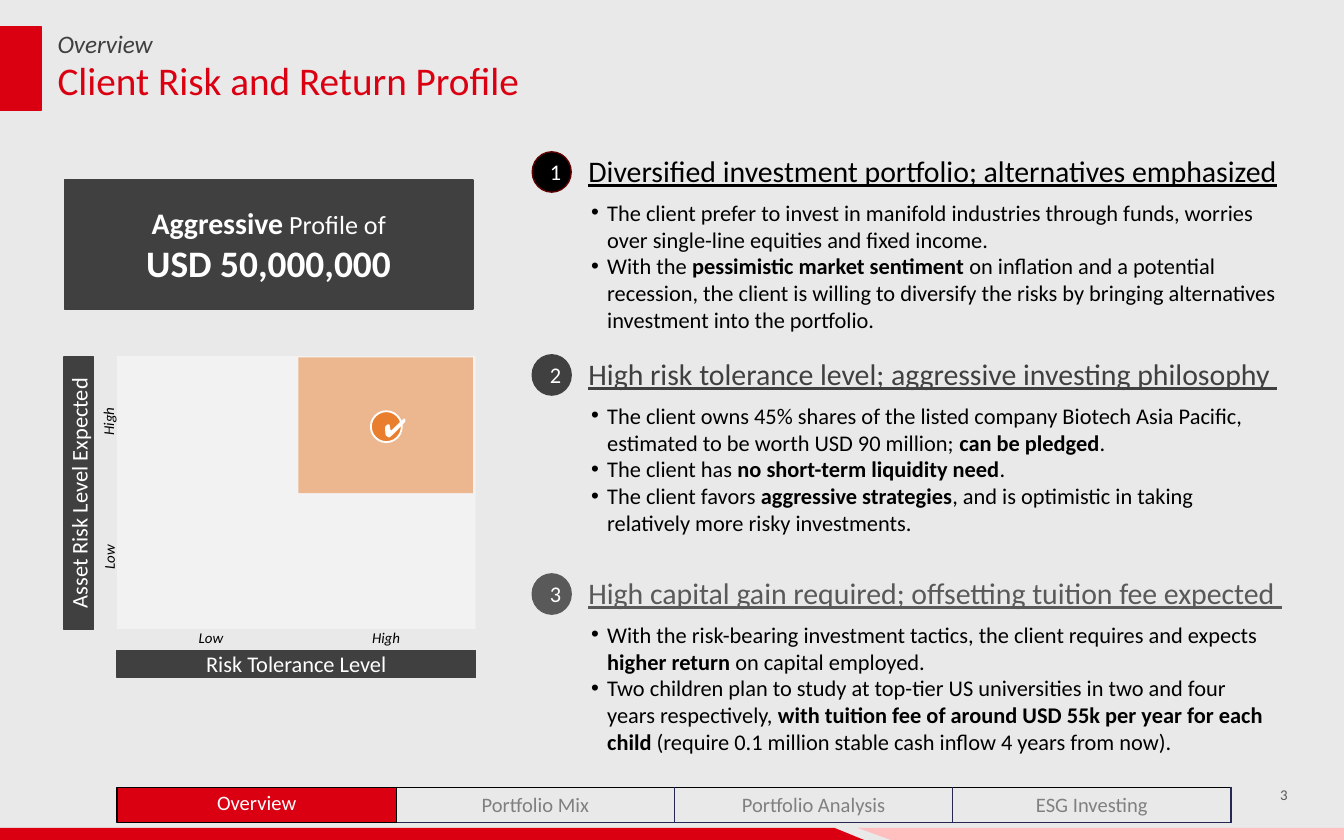
from lxml.etree import SubElement
from pptx import Presentation
from pptx.dml.color import RGBColor
from pptx.enum.shapes import MSO_SHAPE
from pptx.enum.text import MSO_ANCHOR, PP_ALIGN
from pptx.oxml.ns import qn
from pptx.util import Inches, Pt

tint = RGBColor.from_string
RED, DARK, GREY, BLACK, WHITE = "DB0011", "404040", "595959", "000000", "FFFFFF"
RECT, OVAL = MSO_SHAPE.RECTANGLE, MSO_SHAPE.OVAL
LEFT, MID, RIGHT = PP_ALIGN.LEFT, PP_ALIGN.CENTER, PP_ALIGN.RIGHT


def draw(home, kind, box, fill=None, edge=None, width=0.75):
    place = [Inches(n) for n in box]
    if kind is None:
        return home.add_textbox(*place)
    shape = home.add_shape(kind, *place)
    shape.shadow.inherit = False
    shape.fill.solid()
    shape.fill.fore_color.rgb = tint(fill)
    if edge:
        shape.line.color.rgb = tint(edge)
        shape.line.width = Pt(width)
    else:
        shape.line.fill.background()
    return shape


def write(shape, lines, size, hue, align=LEFT, mid=True, space=None):
    frame = shape.text_frame
    frame.word_wrap = True
    frame.vertical_anchor = MSO_ANCHOR.MIDDLE if mid else MSO_ANCHOR.TOP
    for i, line in enumerate(lines):
        para = frame.add_paragraph() if i else frame.paragraphs[0]
        para.alignment = align
        para.line_spacing = space
        para.font.name = "Calibri"
        para.font.size = Pt(size)
        para.font.color.rgb = tint(hue)
        for j, part in enumerate(line.split("*")):
            if part:
                run = para.add_run()
                run.text = part
                if j % 2:
                    run.font.bold = True
    return frame.paragraphs


deck = Presentation()
deck.slide_width, deck.slide_height = Inches(10), Inches(6.25)
slide = deck.slides.add_slide(deck.slide_layouts[6])
slide.background.fill.solid()
slide.background.fill.fore_color.rgb = tint("E9E9E9")
shapes = slide.shapes

for hue, points in [
    (RED, [(0, 6.16), (6.21, 6.16), (6.43, 6.25), (0, 6.25)]),
    ("FFBFBF", [(6.38, 6.16), (10, 6.16), (10, 6.25), (6.63, 6.25)]),
]:
    spots = [(Inches(x), Inches(y)) for x, y in points]
    pen = shapes.build_freeform(*spots[0])
    pen.add_line_segments(spots[1:])
    stripe = pen.convert_to_shape()
    stripe.shadow.inherit = False
    stripe.fill.solid()
    stripe.fill.fore_color.rgb = tint(hue)
    stripe.line.fill.background()

draw(shapes, RECT, (0, 0.2, 0.31, 0.62), RED, RED)

tabs = shapes.add_table(1, 4, Inches(0.88), Inches(5.86), Inches(8.28), Inches(0.26)).table
tabs.first_row = tabs.horz_banding = False
for cell, name in zip(tabs.rows[0].cells, ["Overview", "Portfolio Mix", "Portfolio Analysis", "ESG Investing"]):
    cell.fill.background()
    cell.margin_left = cell.margin_right = Inches(0.07)
    cell.margin_top = cell.margin_bottom = Inches(0.03)
    cell.vertical_anchor = MSO_ANCHOR.MIDDLE
    write(cell, [name], 11, "808080", MID)
    props = cell._tc.get_or_add_tcPr()
    for i, (side, hue) in enumerate([("lnL", "242852"), ("lnR", "242852"), ("lnT", BLACK), ("lnB", "242852")]):
        edge = props.makeelement(qn("a:" + side), {"w": str(Pt(0.75))})
        fill = SubElement(edge, qn("a:solidFill"))
        SubElement(fill, qn("a:srgbClr"), val=hue)
        props.insert(i, edge)

write(draw(shapes, None, (9.18, 5.75, 0.5, 0.33)), ["3"], 8, GREY, RIGHT)
write(draw(shapes, None, (0.33, 0.38, 4.02, 0.47)), ["Client Risk and Return Profile"], 21, RED, space=0.9)
intro = write(draw(shapes, None, (0.33, 0.19, 4.02, 0.27)), ["Overview"], 13.5, "3F3F3F", mid=False, space=0.9)
intro[0].font.italic = True

points = [
    (1.13, BLACK, "600000", 5.58, 5.37, "Diversified investment portfolio; alternatives emphasized", [
        "The client prefer to invest in manifold industries through funds, worries over single-line equities and fixed income.",
        "With the *pessimistic market sentiment *on inflation and a potential recession, the client is willing to "
        "diversify the risks by bringing alternatives investment into the portfolio."]),
    (2.64, DARK, DARK, 5.41, 5.33, "High risk tolerance level; aggressive investing philosophy ", [
        "The client owns 45% shares of the listed company Biotech Asia Pacific, estimated to be worth "
        "USD 90 million; *can be pledged*.",
        "The client has *no short-term liquidity need*.",
        "The client favors *aggressive strategies*, and is optimistic in taking relatively more risky investments."]),
    (4.27, GREY, GREY, 5.46, 5.24, "High capital gain required; offsetting tuition fee expected ", [
        "With the risk-bearing investment tactics, the client requires and expects *higher return *on capital employed.",
        "Two children plan to study at top-tier US universities in two and four years respectively, "
        "*with tuition fee of around USD 55k per year for each child *(require 0.1 million stable cash inflow "
        "4 years from now)."]),
]
for i, (top, hue, edge, wide, span, head, body) in enumerate(points, 1):
    home = shapes.add_group_shape().shapes
    draw(home, OVAL, (3.96, top, 0.29, 0.3), hue, edge)
    write(draw(home, None, (4.01, top, 0.18, 0.3)), [str(i)], 12, WHITE, MID, False)
    title = write(draw(home, None, (4.28, top - 0.08, wide, 0.47)), [head], 16, hue, space=0.9)
    title[0].font.underline = True
    for para in write(draw(home, None, (4.3, top + 0.3, span, 1.11)), body, 12, BLACK, mid=False):
        props = para._p.get_or_add_pPr()
        props.set("marL", str(Inches(0.12)))
        props.set("indent", str(-Inches(0.12)))
        for tag, key, val in [("a:buFont", "typeface", "Arial"), ("a:buChar", "char", "•")]:
            mark = props.makeelement(qn(tag), {key: val})
            props.insert_element_before(mark, "a:tabLst", "a:defRPr", "a:extLst")

card = draw(shapes, RECT, (0.48, 1.34, 3.04, 0.96), DARK, DARK, 1)
lines = write(card, ["*Aggressive* Profile of", "*USD 50,000,000*"], 14, WHITE, MID)
lines[0].runs[0].font.size = Pt(16)
lines[1].font.size = Pt(20)

home = shapes.add_group_shape().shapes
for name, x, y, wide, turn in [
    ("Low", 1.38, 4.63, 0.41, 0), ("High", 2.67, 4.63, 0.44, 0),
    ("Low", 0.61, 4.01, 0.41, 270), ("High", 0.59, 3.0, 0.44, 270),
]:
    label = draw(home, None, (x, y, wide, 0.24))
    label.rotation = turn
    write(label, [name], 8, BLACK, mid=False)[0].font.italic = True

draw(home, RECT, (0.87, 2.65, 2.67, 2.03), "F2F2F2")
for name, box, turn in [
    ("Asset Risk Level Expected", (-0.43, 3.56, 2.03, 0.22), 270),
    ("Risk Tolerance Level", (0.87, 4.84, 2.67, 0.2), 0),
]:
    bar = draw(home, RECT, box, DARK, DARK)
    bar.rotation = turn
    write(bar, [name], 12, WHITE, MID)

zone = draw(home, RECT, (2.22, 2.66, 1.3, 1.01), "E87E2E")
shade = zone._element.spPr.find(qn("a:solidFill"))[0]
SubElement(shade, qn("a:alpha"), val="50000")
write(draw(home, OVAL, (2.76, 3.06, 0.23, 0.23), "E87E2E", WHITE, 1), ["✔"], 14, WHITE, MID)

tab = draw(shapes, RECT, (0.87, 5.86, 2.08, 0.26), RED, BLACK)
write(tab, ["Overview"], 11, WHITE, MID, False, Pt(11))

deck.save("out.pptx")
